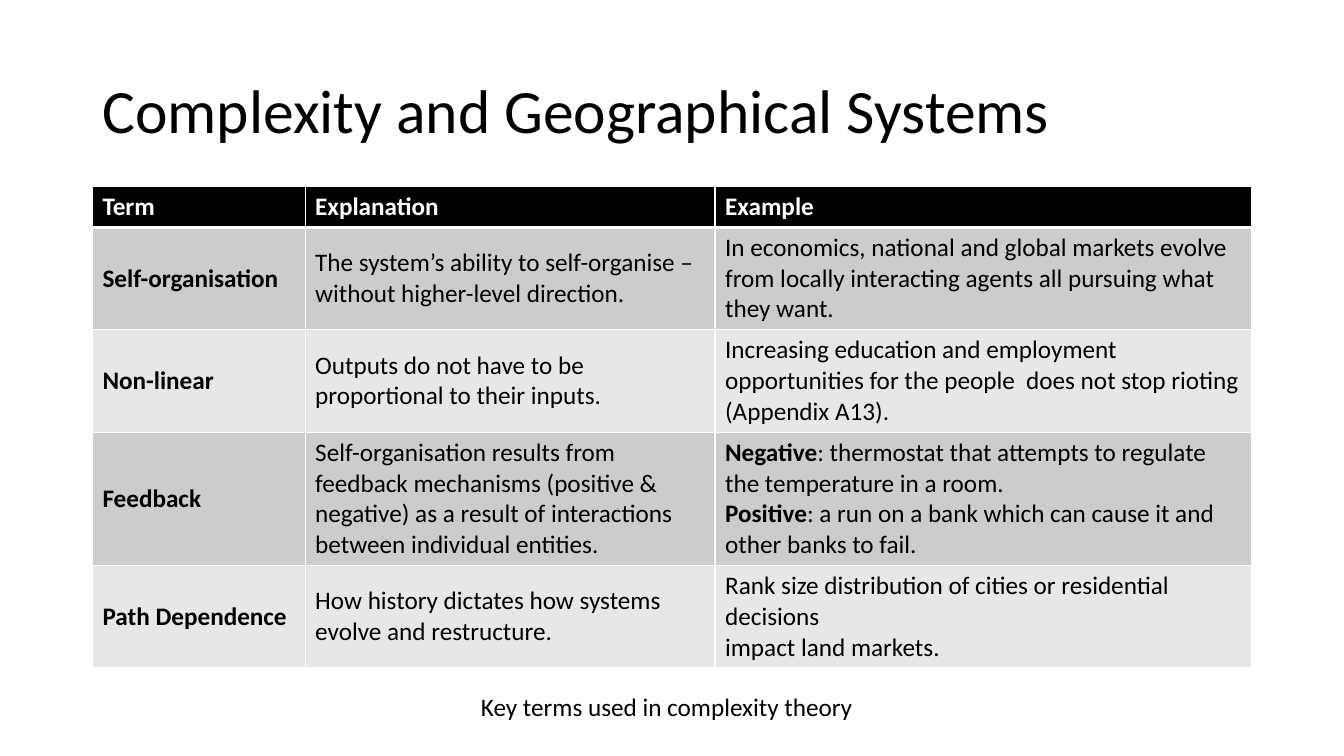
from dataclasses import dataclass

from lxml.etree import SubElement
from pptx import Presentation
from pptx.dml.color import RGBColor
from pptx.enum.text import MSO_ANCHOR as Anchor, MSO_AUTO_SIZE as AutoSize, PP_ALIGN as Align
from pptx.oxml.ns import qn
from pptx.util import Cm, Pt

COLOURS = {"black": "000000", "white": "FFFFFF", "dark band": "CCCCCC", "light band": "E7E7E7"}
FONT = "Calibri"
LEFT, WIDTH = 2.33, 29.21
COLUMN_WIDTHS = [5.36, 10.33, 13.52]
HEADINGS = ["Term", "Explanation", "Example"]


@dataclass
class Para:
    text: str
    lead: str = ""  # bold opening words


@dataclass
class Entry:
    term: str
    explanation: list[Para]
    example: list[Para]
    height: float = 2.58


ENTRIES = [
    Entry("Self-organisation",
          [Para("The system’s ability to self-organise – without higher-level direction.")],
          [Para("In economics, national and global markets evolve from locally "
                "interacting agents all pursuing what they want.")]),
    Entry("Non-linear",
          [Para("Outputs do not have to be proportional to their inputs.")],
          [Para("Increasing education and employment opportunities for the people  "
                "does not stop rioting (Appendix A13).")]),
    Entry("Feedback",
          [Para("Self-organisation results from feedback mechanisms (positive &"),
           Para("negative) as a result of interactions between individual entities.")],
          [Para(": thermostat that attempts to regulate the temperature in a room.", "Negative"),
           Para(": a run on a bank which can cause it and other banks to fail.", "Positive")],
          height=3.36),
    Entry("Path Dependence",
          [Para("How history dictates how systems evolve and restructure.")],
          [Para("Rank size distribution of cities or residential decisions"),
           Para("impact land markets.")]),
]


def rgb(name: str) -> RGBColor:
    return RGBColor.from_string(COLOURS[name])


def set_font(font, size: float, colour: str = "black") -> None:
    font.name, font.size = FONT, Pt(size)
    font.color.rgb = rgb(colour)


def write_paras(tf, paras: list[Para], colour: str = "black") -> None:
    for i, para in enumerate(paras):
        p = tf.paragraphs[0] if i == 0 else tf.add_paragraph()
        set_font(p.font, 18, colour)
        for text, bold in ((para.lead, True), (para.text, False)):
            if text:
                r = p.add_run()
                r.text, r.font.bold = text, bold


def set_borders(cell, top: float, bottom: float) -> None:
    """Draw white cell borders; the side ones are 1 pt wide."""
    tc_pr = cell._tc.get_or_add_tcPr()
    for side, width in (("L", 1), ("R", 1), ("T", top), ("B", bottom)):
        ln = SubElement(tc_pr, qn(f"a:ln{side}"), w=str(Pt(width)))
        fill = SubElement(ln, qn("a:solidFill"))
        SubElement(fill, qn("a:srgbClr"), val=COLOURS["white"])


def fill_row(table, row: int, cells: list[list[Para]], fill: str, colour: str = "black") -> None:
    for cell, paras in zip(table.rows[row].cells, cells):
        set_borders(cell, top=3 if row == 1 else 1, bottom=3 if row == 0 else 1)
        cell.fill.solid()
        cell.fill.fore_color.rgb = rgb(fill)
        cell.vertical_anchor = Anchor.MIDDLE
        write_paras(cell.text_frame, paras, colour)


def add_title(slide, text: str) -> None:
    sp = slide.shapes.title
    sp.left, sp.top, sp.width, sp.height = Cm(LEFT), Cm(1.01), Cm(WIDTH), Cm(3.68)
    tf = sp.text_frame
    tf.text = text
    tf.auto_size, tf.vertical_anchor = AutoSize.NONE, Anchor.MIDDLE
    p = tf.paragraphs[0]
    p.alignment, p.line_spacing = Align.LEFT, 0.9
    set_font(p.font, 44)


def add_terms_table(slide) -> None:
    heights = [1.03] + [entry.height for entry in ENTRIES]
    table = slide.shapes.add_table(len(heights), len(HEADINGS), Cm(LEFT), Cm(4.7),
                                   Cm(WIDTH), Cm(sum(heights))).table
    for column, width in zip(table.columns, COLUMN_WIDTHS):
        column.width = Cm(width)
    for row, height in zip(table.rows, heights):
        row.height = Cm(height)
    fill_row(table, 0, [[Para("", heading)] for heading in HEADINGS], "black", "white")
    for row, entry in enumerate(ENTRIES, 1):
        cells = [[Para("", entry.term)], entry.explanation, entry.example]
        fill_row(table, row, cells, "dark band" if row % 2 else "light band")


def add_caption(slide, text: str) -> None:
    tf = slide.shapes.add_textbox(Cm(11.87), Cm(17.3), Cm(10.13), Cm(1.03)).text_frame
    tf.word_wrap, tf.auto_size = False, AutoSize.SHAPE_TO_FIT_TEXT
    write_paras(tf, [Para(text)])


def main() -> None:
    prs = Presentation()
    prs.slide_width, prs.slide_height = Cm(33.87), Cm(19.05)
    slide = prs.slides.add_slide(prs.slide_layouts.get_by_name("Title Only"))
    add_title(slide, "Complexity and Geographical Systems")
    add_terms_table(slide)
    add_caption(slide, "Key terms used in complexity theory")
    prs.save("out.pptx")


if __name__ == "__main__":
    main()
